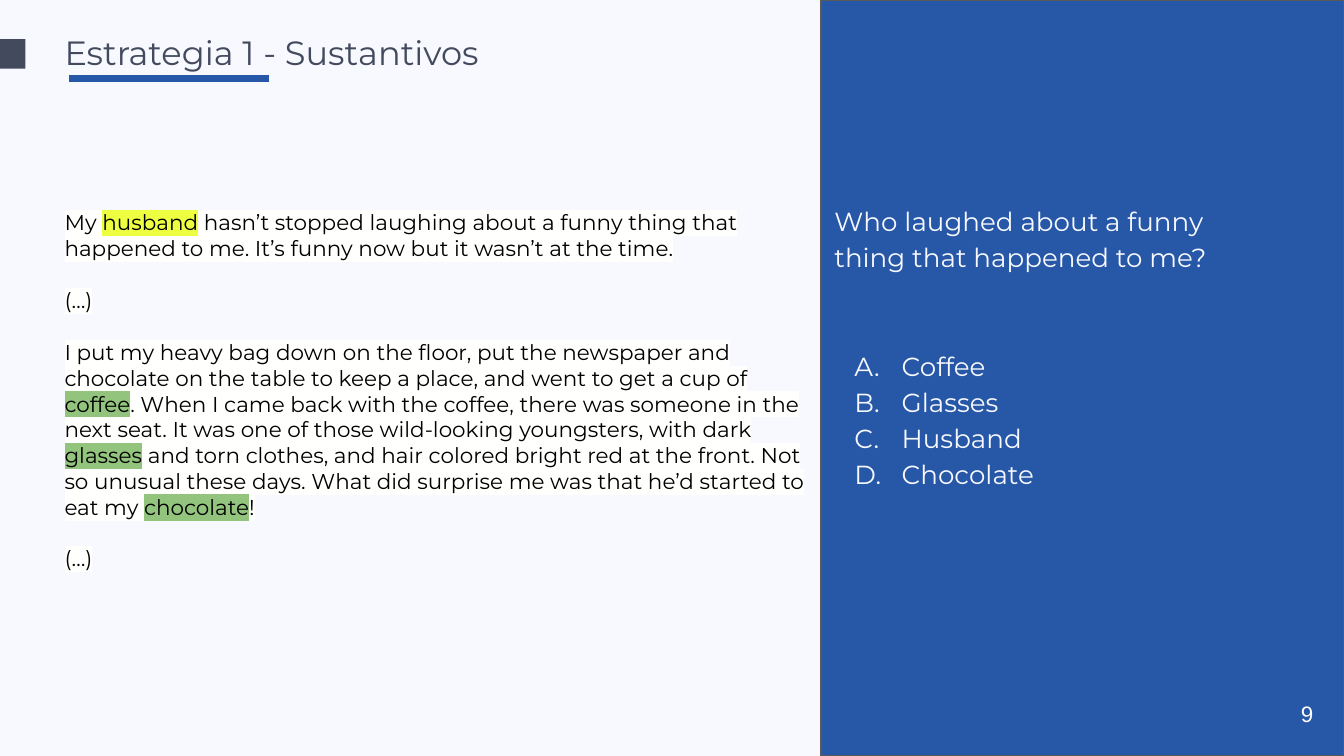
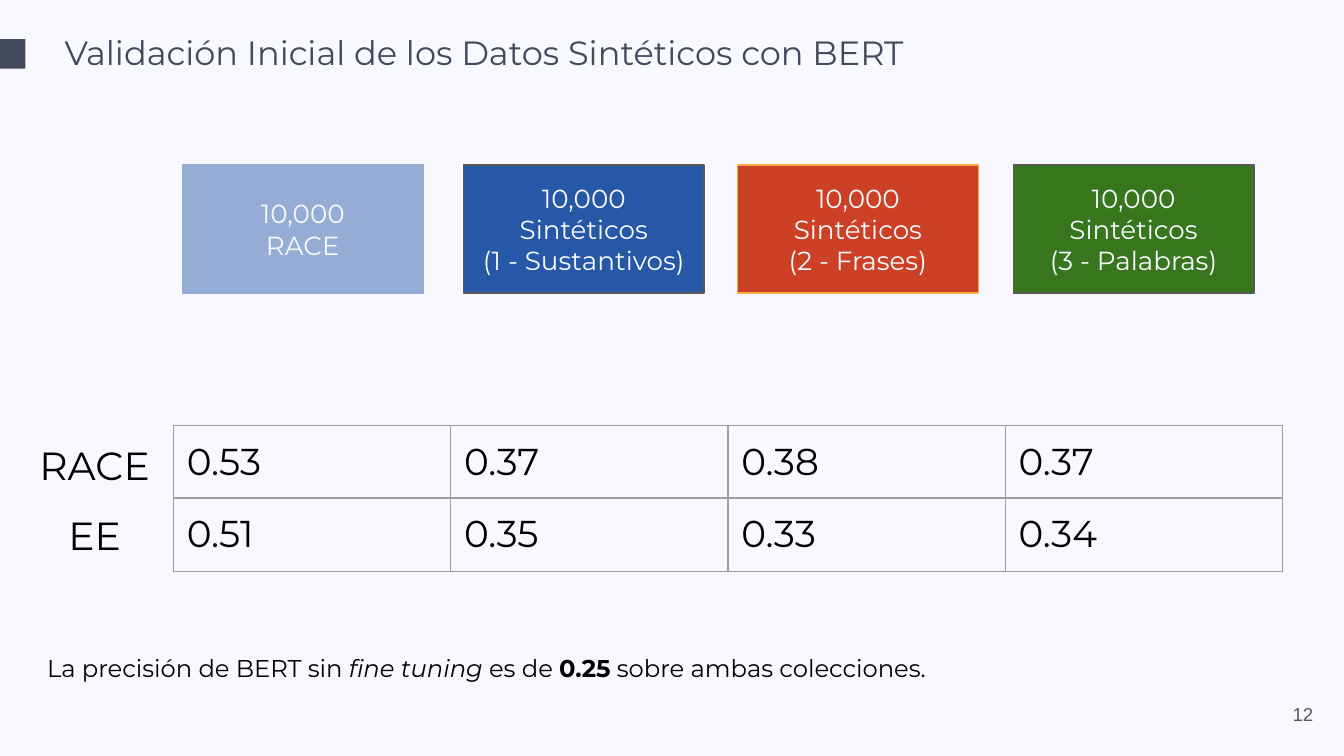
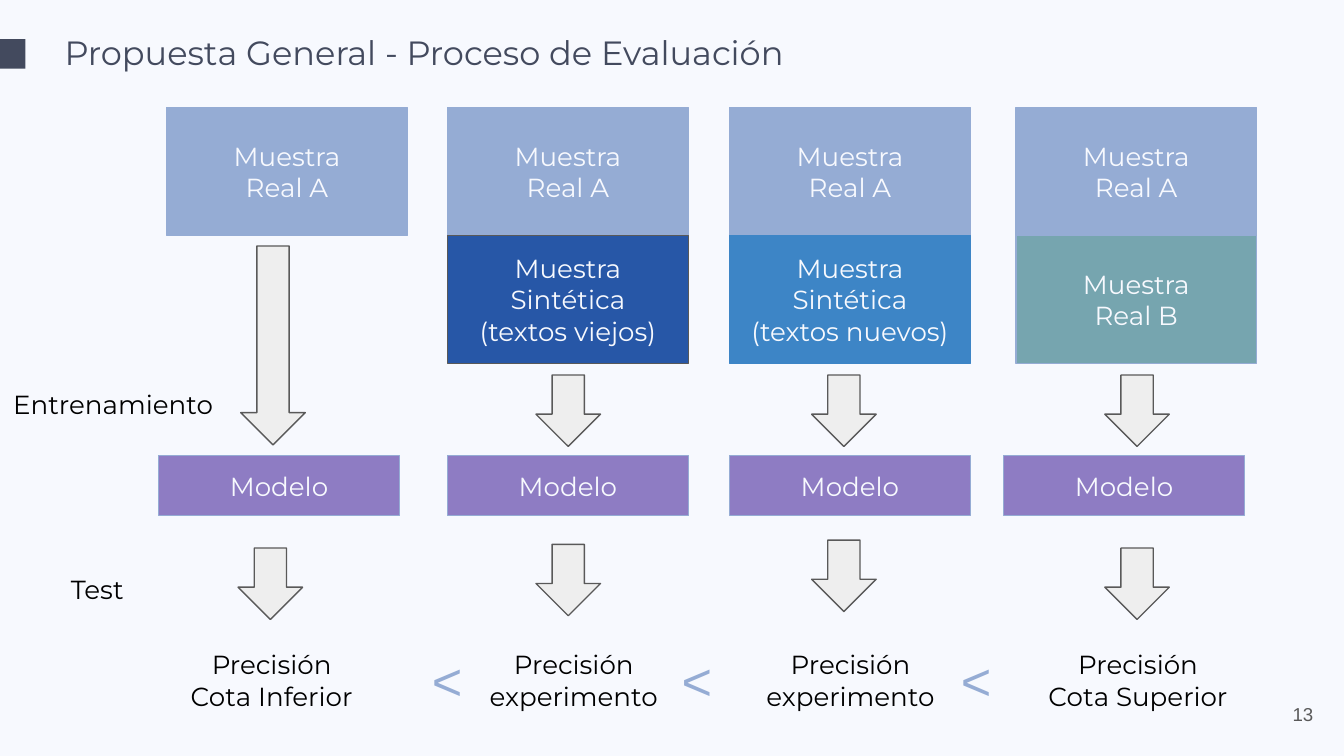
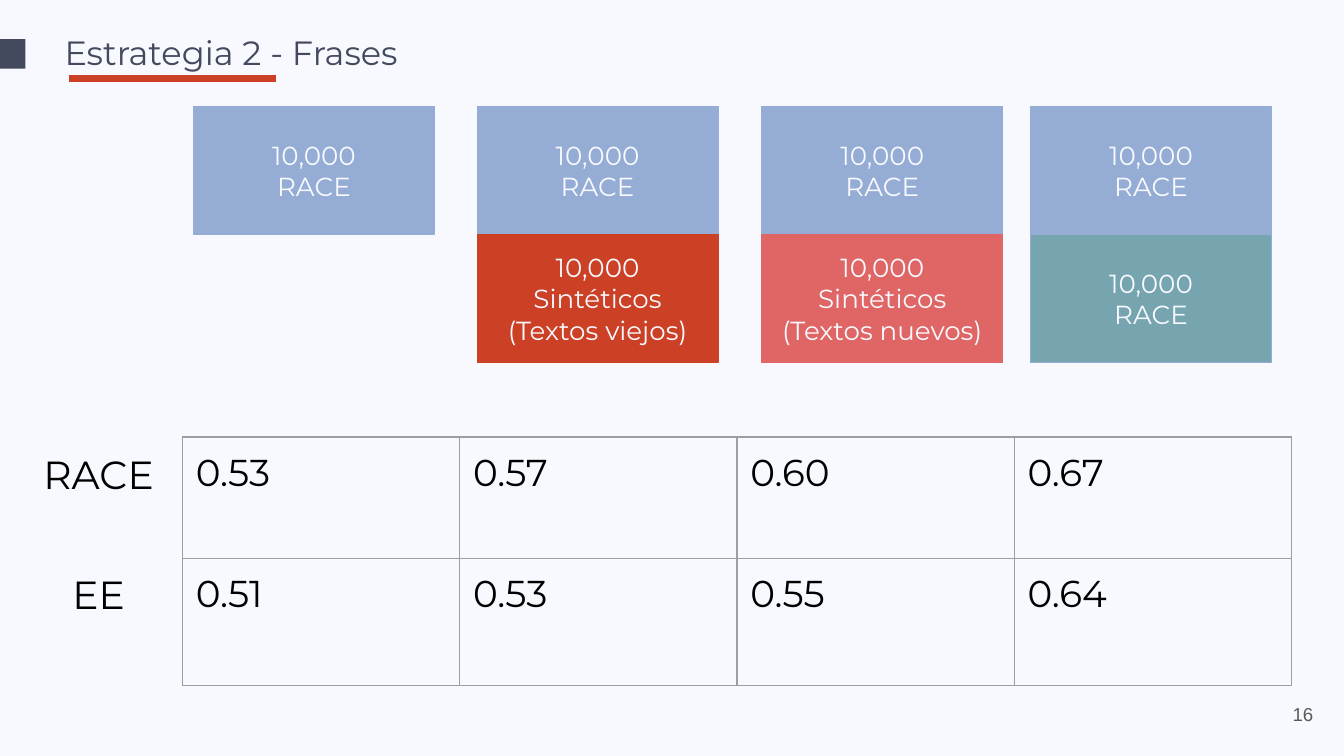
from dataclasses import dataclass

from lxml import etree
from pptx import Presentation
from pptx.dml.color import RGBColor
from pptx.enum.shapes import MSO_SHAPE
from pptx.enum.text import MSO_ANCHOR, MSO_AUTO_SIZE, PP_ALIGN
from pptx.oxml.ns import qn
from pptx.util import Cm, Pt

RECTANGLE = MSO_SHAPE.RECTANGLE
DOWN_ARROW = MSO_SHAPE.DOWN_ARROW
LEFT, CENTER, RIGHT = PP_ALIGN.LEFT, PP_ALIGN.CENTER, PP_ALIGN.RIGHT
TOP, MIDDLE = MSO_ANCHOR.TOP, MSO_ANCHOR.MIDDLE
FIXED_SIZE = MSO_AUTO_SIZE.NONE
TITLE_ONLY = 5


@dataclass(frozen=True)
class Theme:
    font: str = "Montserrat"
    symbol_font: str = "Arial"
    background: str = "F7F9FE"
    slate: str = "434A5E"
    black: str = "000000"
    white: str = "FFFFFF"
    gray: str = "595959"
    border: str = "9E9E9E"
    arrow: str = "EEEEEE"
    real: str = "95ACD4"
    real_extra: str = "76A5AF"
    blue: str = "2757A7"
    light_blue: str = "3D85C6"
    red: str = "CC4125"
    light_red: str = "E06666"
    orange: str = "FFAB40"
    green: str = "38761D"
    purple: str = "8E7CC3"
    paper_mark: str = "FFFFFE"
    answer_mark: str = "EEFF41"
    option_mark: str = "93C47D"
    title_size: float = 18
    body_size: float = 14
    passage_size: float = 11.5
    note_size: float = 13
    row_label_size: float = 21
    cell_size: float = 20
    sign_size: float = 28
    number_size: float = 10
    outline: float = 0.75


THEME = Theme()
INSET = 0.25
BLOCK_WIDTH, BLOCK_HEIGHT = 4.55, 2.42
ARROW_WIDTH, ARROW_HEIGHT = 1.22, 1.35
REAL_SAMPLE = (["Muestra", "Real A"], THEME.real, THEME.real)
RACE_SAMPLE = (["10,000", "RACE"], THEME.real, THEME.real)


def color(value):
    return RGBColor.from_string(value)


def place(shape, left, top, width, height):
    shape.left, shape.top = Cm(left), Cm(top)
    shape.width, shape.height = Cm(width), Cm(height)


def format_run(run, size, ink, font, highlight=None, bold=None, italic=None):
    run.font.size = Pt(size)
    run.font.name = font
    run.font.color.rgb = color(ink)
    run.font.bold = bold
    run.font.italic = italic
    if highlight:
        mark = etree.Element(qn("a:highlight"))
        etree.SubElement(mark, qn("a:srgbClr"), val=highlight)
        run.font._element.find(qn("a:latin")).addprevious(mark)


def write_text(frame, paragraphs, size=THEME.body_size, ink=THEME.black, font=THEME.font,
               align=LEFT, anchor=TOP, highlight=None, space_before=0, line_spacing=None,
               left_inset=INSET, top_inset=INSET):
    frame.word_wrap = True
    frame.auto_size = FIXED_SIZE
    frame.vertical_anchor = anchor
    frame.margin_left, frame.margin_top = Cm(left_inset), Cm(top_inset)
    frame.margin_right = frame.margin_bottom = Cm(INSET)
    for index, content in enumerate(paragraphs):
        paragraph = frame.add_paragraph() if index else frame.paragraphs[0]
        paragraph.alignment = align
        paragraph.space_before = Pt(space_before if index else 0)
        if line_spacing:
            paragraph.line_spacing = line_spacing
        for piece in [content] if isinstance(content, str) else content:
            text, changes = (piece, {}) if isinstance(piece, str) else piece
            run = paragraph.add_run()
            run.text = text
            format_run(run, size, ink, font, **{"highlight": highlight, **changes})


def add_text(slide, paragraphs, left, top, width, height, **text_format):
    box = slide.shapes.add_textbox(Cm(left), Cm(top), Cm(width), Cm(height))
    write_text(box.text_frame, paragraphs, **text_format)
    return box


def add_figure(slide, kind, left, top, width, height, fill, line=None):
    shape = slide.shapes.add_shape(kind, Cm(left), Cm(top), Cm(width), Cm(height))
    shape.shadow.inherit = False
    shape.fill.solid()
    shape.fill.fore_color.rgb = color(fill)
    if line:
        shape.line.color.rgb = color(line)
        shape.line.width = Pt(THEME.outline)
    else:
        shape.line.fill.background()
    return shape


def add_block(slide, paragraphs, left, top, fill, line, height=BLOCK_HEIGHT):
    block = add_figure(slide, RECTANGLE, left, top, BLOCK_WIDTH, height, fill, line)
    write_text(block.text_frame, paragraphs, ink=THEME.background, align=CENTER, anchor=MIDDLE)


def add_stack(slide, samples, left, top):
    for level, (paragraphs, fill, line) in enumerate(samples):
        add_block(slide, paragraphs, left, top + level * BLOCK_HEIGHT, fill, line)


def add_arrow(slide, left, top, height=ARROW_HEIGHT):
    add_figure(slide, DOWN_ARROW, left, top, ARROW_WIDTH, height, THEME.arrow, THEME.gray)


def add_underline(slide, width, fill):
    add_figure(slide, RECTANGLE, 1.3, 1.4, width, 0.16, fill, THEME.background)


def add_page_number(slide, number, size=THEME.number_size, ink=THEME.gray):
    add_text(slide, [number], 23.55, 12.95, 1.52, 1.09, size=size, ink=ink,
             font=THEME.symbol_font, align=RIGHT, anchor=MIDDLE)


def add_titled_slide(presentation, title):
    slide = presentation.slides.add_slide(presentation.slide_layouts[TITLE_ONLY])
    place(slide.shapes.title, 0, 0.2, 21.2, 1.57)
    write_text(slide.shapes.title.text_frame, [title], size=THEME.title_size, ink=THEME.slate,
               anchor=MIDDLE, left_inset=1.22)
    add_figure(slide, RECTANGLE, 0, 0.74, 0.48, 0.56, THEME.slate)
    return slide


def add_borders(cell):
    properties = cell._tc.get_or_add_tcPr()
    for position, side in enumerate(("a:lnL", "a:lnR", "a:lnT", "a:lnB")):
        line = etree.Element(qn(side), w=str(Pt(THEME.outline)))
        fill = etree.SubElement(line, qn("a:solidFill"))
        etree.SubElement(fill, qn("a:srgbClr"), val=THEME.border)
        properties.insert(position, line)


def add_scores(slide, scores, left, top, row_heights, column_width=5.24):
    columns = len(scores[0])
    frame = slide.shapes.add_table(len(scores), columns, Cm(left), Cm(top),
                                   Cm(columns * column_width), Cm(sum(row_heights)))
    table = frame.table
    table.first_row = table.horz_banding = False
    for column in table.columns:
        column.width = Cm(column_width)
    for row, height, values in zip(table.rows, row_heights, scores):
        row.height = Cm(height)
        for cell, value in zip(row.cells, values):
            cell.fill.background()
            cell.margin_left = cell.margin_right = Cm(INSET)
            cell.margin_top = cell.margin_bottom = Cm(INSET)
            run = cell.text_frame.paragraphs[0].add_run()
            run.text = value
            format_run(run, THEME.cell_size, THEME.black, THEME.font)
            add_borders(cell)


def add_row_labels(slide, tops, width):
    for label, top in zip(("RACE", "EE"), tops):
        add_text(slide, [label], 0, top, width, 1.42, size=THEME.row_label_size, align=CENTER)


def letter_options(paragraphs):
    for paragraph in paragraphs:
        properties = paragraph._p.get_or_add_pPr()
        properties.set("marL", str(Cm(1.27)))
        properties.set("indent", str(Cm(-0.89)))
        tint = etree.SubElement(properties, qn("a:buClr"))
        etree.SubElement(tint, qn("a:srgbClr"), val=THEME.background)
        etree.SubElement(properties, qn("a:buAutoNum"), type="alphaUcPeriod")


def build_nouns(presentation):
    slide = add_titled_slide(presentation, "Estrategia 1 - Sustantivos")
    add_underline(slide, 3.8, THEME.blue)
    answer = {"highlight": THEME.answer_mark}
    option = {"highlight": THEME.option_mark}
    passage = [
        ["My ", ("husband", answer),
         " hasn’t stopped laughing about a funny thing that happened to me. "
         "It’s funny now but it wasn’t at the time."],
        "(…)",
        ["I put my heavy bag down on the floor, put the newspaper and chocolate on the table "
         "to keep a place, and went to get a cup of ", ("coffee", option),
         ". When I came back with the coffee, there was someone in the next seat. It was one of "
         "those wild-looking youngsters, with dark ", ("glasses", option),
         " and torn clothes, and hair colored bright red at the front. Not so unusual these days. "
         "What did surprise me was that he’d started to eat my ", ("chocolate", option), "!"],
        "(…)",
    ]
    add_text(slide, passage, 0.97, 3.71, 14.53, 7.85, size=THEME.passage_size,
             highlight=THEME.paper_mark, space_before=14)
    add_figure(slide, RECTANGLE, 15.52, 0, 9.88, 14.29, THEME.blue, THEME.gray)
    question = ["Who laughed about a funny", "thing that happened to me?"]
    options = ["Coffee", "Glasses", "Husband", "Chocolate"]
    box = add_text(slide, question + options, 15.52, 1.47, 9.88, 8.69, ink=THEME.background,
                   line_spacing=1.15, top_inset=2.33)
    option_paragraphs = box.text_frame.paragraphs[len(question):]
    option_paragraphs[0].space_before = Pt(39)
    letter_options(option_paragraphs)
    add_page_number(slide, "9", size=12, ink=THEME.white)


def build_validation(presentation):
    slide = add_titled_slide(presentation, "Validación Inicial de los Datos Sintéticos con BERT")
    synthetic = ["10,000", "Sintéticos"]
    samples = [
        (3.45, RACE_SAMPLE),
        (8.76, (synthetic + ["(1 - Sustantivos)"], THEME.blue, THEME.gray)),
        (13.94, (synthetic + ["(2 - Frases)"], THEME.red, THEME.orange)),
        (19.15, (synthetic + ["(3 - Palabras)"], THEME.green, THEME.gray)),
    ]
    for left, sample in samples:
        add_stack(slide, [sample], left, 3.12)
    add_row_labels(slide, (8.1, 9.42), 3.58)
    add_scores(slide, [["0.53", "0.37", "0.38", "0.37"], ["0.51", "0.35", "0.33", "0.34"]],
               3.28, 8.05, (1.36, 1.39))
    note = ["La precisión de BERT sin ", ("fine tuning", {"italic": True}), " es de ",
            ("0.25", {"bold": True}), " sobre ambas colecciones."]
    add_text(slide, [note], 0.64, 12.09, 21.72, 1.07, size=THEME.note_size)
    add_page_number(slide, "12")


def build_evaluation(presentation):
    slide = add_titled_slide(presentation, "Propuesta General - Proceso de Evaluación")
    synthetic = "Muestra Sintética"
    sample_columns = [
        (3.15, []),
        (8.46, [([synthetic, "(textos viejos)"], THEME.blue, THEME.gray)]),
        (13.79, [([synthetic, "(textos nuevos)"], THEME.light_blue, THEME.light_blue)]),
        (19.2, [(["Muestra", "Real B"], THEME.real_extra, THEME.real)]),
    ]
    for left, extra in sample_columns:
        add_stack(slide, [REAL_SAMPLE] + extra, left, 2.03)
    for left in (3, 8.46, 13.79, 18.97):
        add_block(slide, ["Modelo"], left, 8.61, THEME.purple, THEME.real, height=1.14)
    add_arrow(slide, 4.55, 4.65, height=3.76)
    for left in (10.13, 15.34, 20.88):
        add_arrow(slide, left, 7.09)
    for left, top in ((4.5, 10.36), (10.13, 10.29), (15.34, 10.21), (20.88, 10.36)):
        add_arrow(slide, left, top)
    results = [(3.28, 3.71, "Cota Inferior"), (8.99, 3.71, "experimento"),
               (14.22, 3.71, "experimento"), (19.48, 4.06, "Cota Superior")]
    for left, width, result in results:
        add_text(slide, ["Precisión", result], left, 12.01, width, 1.7, align=CENTER)
    for left in (7.42, 12.14, 17.42):
        add_text(slide, ["<"], left, 12.01, 2.06, 2.2, size=THEME.sign_size, ink=THEME.real,
                 font=THEME.symbol_font, align=CENTER)
    add_text(slide, ["Entrenamiento"], 0, 7.09, 4.39, 1.12)
    add_text(slide, ["Test"], 0, 10.59, 3.68, 1.12, align=CENTER)
    add_page_number(slide, "13")


def build_phrases(presentation):
    slide = add_titled_slide(presentation, "Estrategia 2 - Frases")
    add_underline(slide, 3.94, THEME.red)
    synthetic = ["10,000", "Sintéticos"]
    sample_columns = [
        (3.66, []),
        (9.02, [(synthetic + ["(Textos viejos)"], THEME.red, THEME.red)]),
        (14.4, [(synthetic + ["(Textos nuevos)"], THEME.light_red, THEME.light_red)]),
        (19.48, [(["10,000", "RACE"], THEME.real_extra, THEME.real)]),
    ]
    for left, extra in sample_columns:
        add_stack(slide, [RACE_SAMPLE] + extra, left, 2.01)
    add_row_labels(slide, (8.26, 10.54), 3.73)
    add_scores(slide, [["0.53", "0.57", "0.60", "0.67"], ["0.51", "0.53", "0.55", "0.64"]],
               3.45, 8.26, (2.29, 2.41))
    add_page_number(slide, "16")


def main():
    presentation = Presentation()
    presentation.slide_width, presentation.slide_height = Cm(25.4), Cm(14.29)
    background = presentation.slide_master.background.fill
    background.solid()
    background.fore_color.rgb = color(THEME.background)
    build_nouns(presentation)
    build_validation(presentation)
    build_evaluation(presentation)
    build_phrases(presentation)
    presentation.save("out.pptx")


if __name__ == "__main__":
    main()
